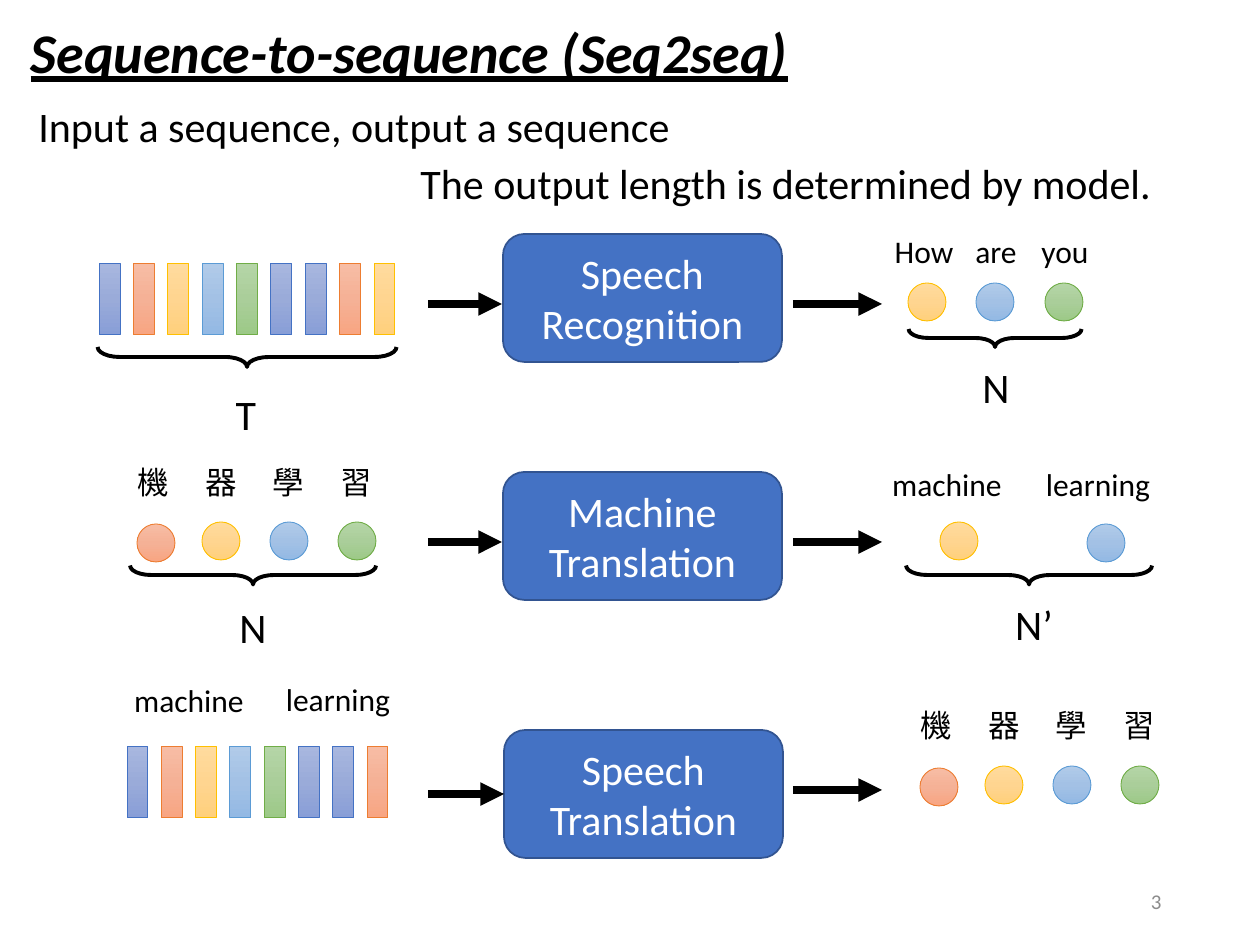
"""Build the sequence-to-sequence overview slide."""
from copy import deepcopy
from dataclasses import dataclass

from lxml.etree import SubElement
from pptx import Presentation
from pptx.dml.color import RGBColor
from pptx.enum.shapes import MSO_CONNECTOR as Connector, MSO_SHAPE as Shape
from pptx.enum.text import MSO_ANCHOR as Anchor, MSO_AUTO_SIZE as AutoSize, PP_ALIGN as Align
from pptx.oxml.ns import qn
from pptx.util import Pt

SCALE = 914400 / 126


@dataclass(frozen=True)
class Theme:
    font: str = "Calibri"
    ink: str = "000000"
    paper: str = "FFFFFF"
    muted: str = "8C8C8C"
    box_fill: str = "4472C4"
    box_line: str = "325491"
    title: int = 32
    body: int = 24
    label: int = 18
    number: int = 12


THEME = Theme()
SWATCHES = {
    "blue": ("4472C4", ("A8B7DF", "9AABD9", "889ED7")),
    "orange": ("ED7D31", ("F7BDA5", "F5B196", "F8A582")),
    "yellow": ("FFC000", ("FFDB9E", "FFD590", "FFD07C")),
    "sky": ("5B9BD5", ("B1CBE9", "A3C1E5", "93B9E4")),
    "green": ("70AD47", ("B5D5A7", "AACE9A", "9CC987")),
}

TITLE = "Sequence-to-sequence (Seq2seq)"
STATEMENTS = [
    ("Input a sequence, output a sequence", 26, 94, 804),
    ("The output length is determined by model.", 408, 151, 891),
]
SLIDE_NUMBER = "3"

# Each task: words, box left, box top, input arrow y, output arrow y, input arrow joined.
TASKS = [
    ("Speech\nRecognition", 503, 234, 304, 304, False),
    ("Machine\nTranslation", 503, 472, 542, 542, False),
    ("Speech\nTranslation", 504, 730, 794, 790, True),
]
BOX_SIZE = (279, 128)
INPUT_ARROW = (428, 502)
OUTPUT_ARROW = (793, 882)

BAR_SIZE = (21, 72)
BAR_CYCLE = ["blue", "orange", "yellow", "sky", "green", "blue"]
SPEECH_INPUTS = [
    (99, 374, 263, BAR_CYCLE + ["blue", "orange", "yellow"]),
    (127, 367, 746, BAR_CYCLE + ["blue", "orange"]),
]

CIRCLE = 38
CHARACTERS = [
    ("機", 153, "orange", 156, 2),
    ("器", 221, "yellow", 221, 0),
    ("學", 288, "sky", 289, 0),
    ("習", 356, "green", 357, 0),
]
ENGLISH = [
    ("How", 924, "yellow", 927, 0),
    ("are", 996, "sky", 995, 0),
    ("you", 1065, "green", 1064, 0),
]
TRANSLATED = [
    ("machine", 947, "yellow", 959, 0),
    ("learning", 1098, "sky", 1106, 2),
]
TOKEN_ROWS = [
    (ENGLISH, 0, 226, 283, 84),
    (CHARACTERS, 0, 457, 522, 84),
    (TRANSLATED, 0, 459, 522, 192),
    (CHARACTERS, 783, 700, 766, 84),
]
SPOKEN_WORDS = [("machine", 189, 675), ("learning", 338, 674)]

# Each brace: centre x, centre y, length, depth, letter, letter centre x, letter top.
BRACES = [
    (995, 338, 173, 18, "N", 996, 355),
    (247, 357, 299, 20, "T", 246, 382),
    (253, 575, 246, 19, "N", 253, 595),
    (1029, 575, 246, 19, "N’", 1034, 592),
]


def px(*lengths):
    return [round(length * SCALE) for length in lengths]


def rgb(color):
    return RGBColor.from_string(color)


def write(shape, text, size=THEME.label, color=THEME.ink, align=Align.LEFT,
          anchor=Anchor.TOP, auto_size=AutoSize.NONE, emphasis=False):
    frame = shape.text_frame
    frame.word_wrap = True
    frame.auto_size = auto_size
    frame.vertical_anchor = anchor
    frame.text = text
    for paragraph in frame.paragraphs:
        paragraph.alignment = align
        font = paragraph.font
        font.name, font.size = THEME.font, Pt(size)
        font.color.rgb = rgb(color)
        font.bold = font.italic = font.underline = emphasis


def add_text(slide, text, left, top, width, height, **style):
    write(slide.shapes.add_textbox(*px(left, top, width, height)), text, **style)


def add_label(slide, text, center, top, width, height=50, size=THEME.label):
    add_text(slide, text, center - width / 2, top, width, height, size=size,
             align=Align.CENTER, auto_size=AutoSize.SHAPE_TO_FIT_TEXT)


def add_outlined(slide, kind, left, top, width, height, color, weight):
    shape = slide.shapes.add_shape(kind, *px(left, top, width, height))
    shape.shadow.inherit = False
    shape.line.color.rgb = rgb(color)
    shape.line.width = Pt(weight)
    return shape


def add_token(slide, kind, left, top, width, height, swatch):
    line, colors = SWATCHES[swatch]
    shape = add_outlined(slide, kind, left, top, width, height, line, 0.5)
    shape.fill.gradient()
    shape.fill.gradient_angle = 270
    stop_list = shape.element.spPr.find(".//" + qn("a:gsLst"))
    stop_list.append(deepcopy(stop_list[0]))
    for stop, color, position in zip(shape.fill.gradient_stops, colors, (0, 0.5, 1)):
        stop.color.rgb = rgb(color)
        stop.position = position


def add_arrow(slide, start, end, y):
    arrow = slide.shapes.add_connector(Connector.STRAIGHT, *px(start, y, end, y))
    arrow.line.color.rgb = rgb(THEME.ink)
    arrow.line.width = Pt(4.5)
    SubElement(arrow.line._get_or_add_ln(), qn("a:tailEnd"), type="triangle")
    SubElement(arrow.element.spPr, qn("a:effectLst"))
    return arrow


def add_task(slide, words, left, top, input_y, output_y, joined):
    box = add_outlined(slide, Shape.ROUNDED_RECTANGLE, left, top, *BOX_SIZE, THEME.box_line, 1)
    box.fill.solid()
    box.fill.fore_color.rgb = rgb(THEME.box_fill)
    write(box, words, size=THEME.body, color=THEME.paper, align=Align.CENTER, anchor=Anchor.MIDDLE)
    arrow = add_arrow(slide, *INPUT_ARROW, input_y)
    if joined:
        arrow.end_connect(box, 1)
    add_arrow(slide, *OUTPUT_ARROW, output_y)


def add_brace(slide, x, y, length, depth, letter, letter_x, letter_top):
    brace = add_outlined(slide, Shape.RIGHT_BRACE, x - depth / 2, y - length / 2,
                         depth, length, THEME.ink, 2.25)
    brace.fill.background()
    brace.rotation = 90
    brace.adjustments[0], brace.adjustments[1] = 1.1, 0.5
    add_label(slide, letter, letter_x, letter_top, 122, 63, THEME.body)


def main():
    presentation = Presentation()
    presentation.slide_width, presentation.slide_height = px(1260, 945)
    slide = presentation.slides.add_slide(presentation.slide_layouts[5])
    title = slide.shapes.title
    title.left, title.top, title.width, title.height = px(18, 11, 907, 81)
    write(title, TITLE, size=THEME.title, emphasis=True)
    for text, left, top, width in STATEMENTS:
        add_text(slide, text, left, top, width, 63, size=THEME.body)
    for task in TASKS:
        add_task(slide, *task)
    for first, last, top, swatches in SPEECH_INPUTS:
        pitch = (last - first) / (len(swatches) - 1)
        for index, swatch in enumerate(swatches):
            add_token(slide, Shape.RECTANGLE, first + index * pitch, top, *BAR_SIZE, swatch)
    for tokens, shift, label_top, circle_top, width in TOKEN_ROWS:
        for text, label_x, swatch, circle_x, drop in tokens:
            add_label(slide, text, label_x + shift, label_top, width)
            add_token(slide, Shape.OVAL, circle_x + shift - CIRCLE / 2, circle_top + drop,
                      CIRCLE, CIRCLE, swatch)
    for text, center, top in SPOKEN_WORDS:
        add_label(slide, text, center, top, 192)
    for brace in BRACES:
        add_brace(slide, *brace)
    add_text(slide, SLIDE_NUMBER, 890, 876, 284, 50, size=THEME.number, color=THEME.muted,
             align=Align.RIGHT, anchor=Anchor.MIDDLE)
    presentation.save("out.pptx")


if __name__ == "__main__":
    main()
